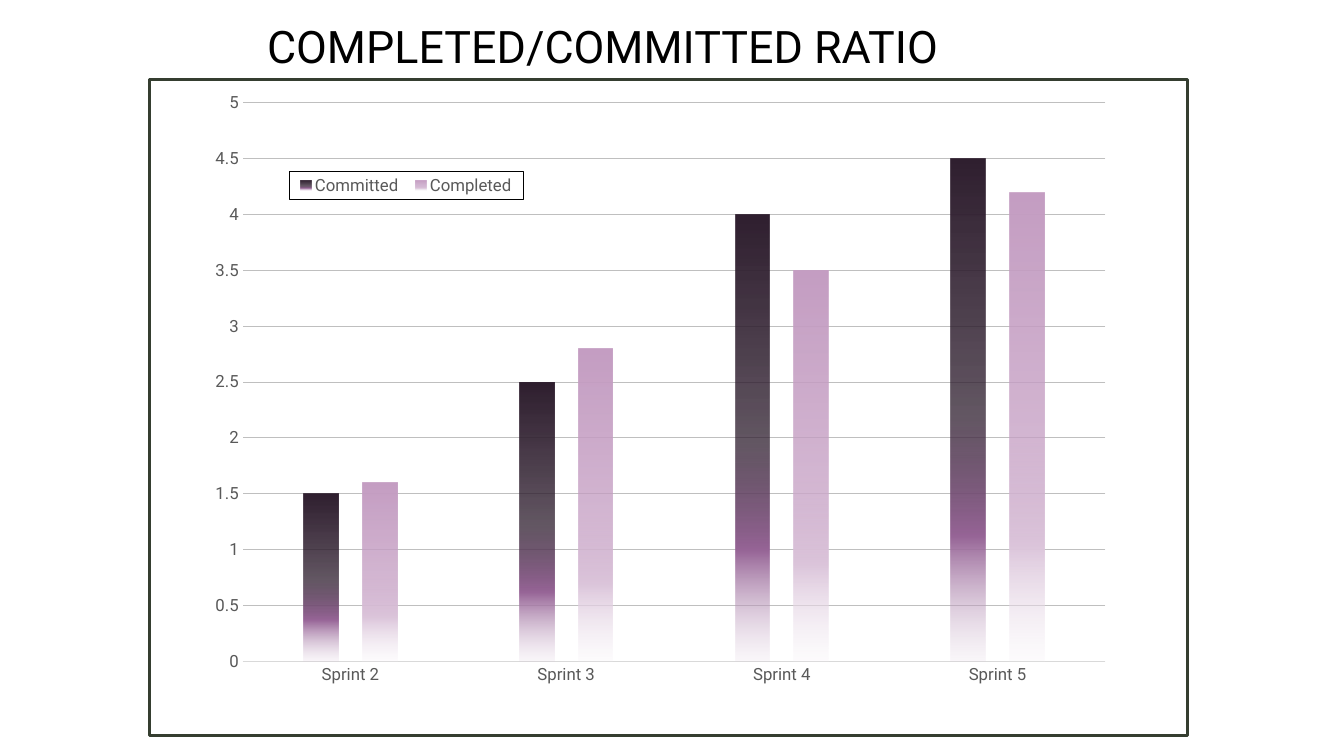
from lxml import etree
from pptx import Presentation, util as u
from pptx.chart.data import CategoryChartData
from pptx.dml.color import RGBColor
from pptx.enum import chart as charts, shapes, text
from pptx.oxml import parse_xml
from pptx.oxml.ns import nsdecls, qn

COLORS = {"page": "FFFFFF", "title": "000000", "frame": "353E30", "label": "595959",
          "axis": "D9D9D9", "grid": "BFBFBF", "legend": "000000"}
FONT = "Roboto"
WIDTH, HEIGHT = 13.33, 7.5
SPRINTS = ["Sprint 2", "Sprint 3", "Sprint 4", "Sprint 5"]
POINTS = {"Committed": [1.5, 2.5, 4, 4.5], "Completed": [1.6, 2.8, 3.5, 4.2]}
FADES = {"Committed": ["302030", "302030", "976597", "DDCBDD"],
         "Completed": ["C59EC3", "C59EC3", "DCC5DB", "F3ECF3"]}
FADE_STOPS = [(0, 100), (51, 75), (75, 100), (100, 15)]


def rgb(name):
    return RGBColor.from_string(COLORS[name])


def style_font(font, size, color):
    font.name, font.size = FONT, u.Pt(size)
    font.color.rgb = rgb(color)


def style_line(line, color, width):
    line.color.rgb = rgb(color)
    line.width = u.Pt(width)


def manual_layout(parent, index, box, inner=False):
    for old in parent.findall(qn("c:layout")):
        parent.remove(old)
    layout = etree.Element(qn("c:layout"))
    manual = etree.SubElement(layout, qn("c:manualLayout"))
    settings = [("layoutTarget", "inner")] if inner else []
    settings += [("xMode", "edge"), ("yMode", "edge"), *zip("xywh", box)]
    for tag, value in settings:
        etree.SubElement(manual, qn(f"c:{tag}"), val=str(value))
    parent.insert(index, layout)


def fade_series(series):
    stops = "".join(
        f'<a:gs pos="{at * 1000}"><a:srgbClr val="{color}">'
        f'<a:alpha val="{alpha * 1000}"/></a:srgbClr></a:gs>'
        for (at, alpha), color in zip(FADE_STOPS, FADES[series.name]))
    series._element.get_or_add_spPr().insert(0, parse_xml(
        f'<a:gradFill {nsdecls("a")}><a:gsLst>{stops}</a:gsLst>'
        '<a:lin ang="5400000" scaled="0"/></a:gradFill>'))


def add_title(slide, box):
    frame = slide.shapes.add_textbox(*map(u.Inches, box)).text_frame
    frame.word_wrap = True
    frame.auto_size = text.MSO_AUTO_SIZE.SHAPE_TO_FIT_TEXT
    heading = frame.paragraphs[0]
    heading.text = "COMPLETED/COMMITTED RATIO"
    style_font(heading.font, 32, "title")


def add_frame(slide, box):
    frame = slide.shapes.add_shape(shapes.MSO_SHAPE.RECTANGLE, *map(u.Inches, box))
    frame.shadow.inherit = False
    frame.fill.background()
    style_line(frame.line, "frame", 2.25)


def add_legend(chart):
    chart.has_legend = True
    legend = chart.legend
    legend.position = charts.XL_LEGEND_POSITION.BOTTOM
    legend.include_in_layout = False
    style_font(legend.font, 12, "label")
    manual_layout(legend._element, 1, (0.0875, 0.133, 0.24, 0.044))
    border = parse_xml(
        f'<c:spPr {nsdecls("c", "a")}><a:noFill/><a:ln w="9525"><a:solidFill>'
        f'<a:srgbClr val="{COLORS["legend"]}"/></a:solidFill></a:ln></c:spPr>')
    legend._element.find(qn("c:txPr")).addprevious(border)


def add_sprint_chart(slide, box):
    data = CategoryChartData()
    data.categories = SPRINTS
    for name, points in POINTS.items():
        data.add_series(name, points)
    chart = slide.shapes.add_chart(
        charts.XL_CHART_TYPE.COLUMN_CLUSTERED, *map(u.Inches, box), data).chart
    chart.has_title = False
    style_font(chart.font, 10, "title")
    plot = chart.plots[0]
    plot.gap_width, plot.overlap, plot.vary_by_categories = 355, -70, False
    for series in plot.series:
        fade_series(series)

    sprints, points = chart.category_axis, chart.value_axis
    for axis in (sprints, points):
        axis.major_tick_mark = axis.minor_tick_mark = charts.XL_TICK_MARK.NONE
        style_font(axis.tick_labels.font, 12, "label")
    style_line(sprints.format.line, "axis", 0.75)
    points.minimum_scale, points.maximum_scale, points.major_unit = 0, 5, 0.5
    points.format.line.fill.background()
    style_line(points.major_gridlines.format.line, "grid", 0.75)

    plot_area = chart._chartSpace.find(f'.//{qn("c:plotArea")}')
    manual_layout(plot_area, 0, (0.04, 0.028, 0.884, 0.859), inner=True)
    add_legend(chart)


def main():
    deck = Presentation()
    deck.slide_width, deck.slide_height = u.Inches(WIDTH), u.Inches(HEIGHT)
    slide = deck.slides.add_slide(deck.slide_layouts[6])
    slide.background.fill.solid()
    slide.background.fill.fore_color.rgb = rgb("page")
    add_title(slide, (2.55, 0.14, 7.89, 0.64))
    add_frame(slide, (1.48, 0.79, 10.3, 6.51))
    add_sprint_chart(slide, (2.02, 0.84, 9.68, 6.45))
    deck.save("out.pptx")


if __name__ == "__main__":
    main()
